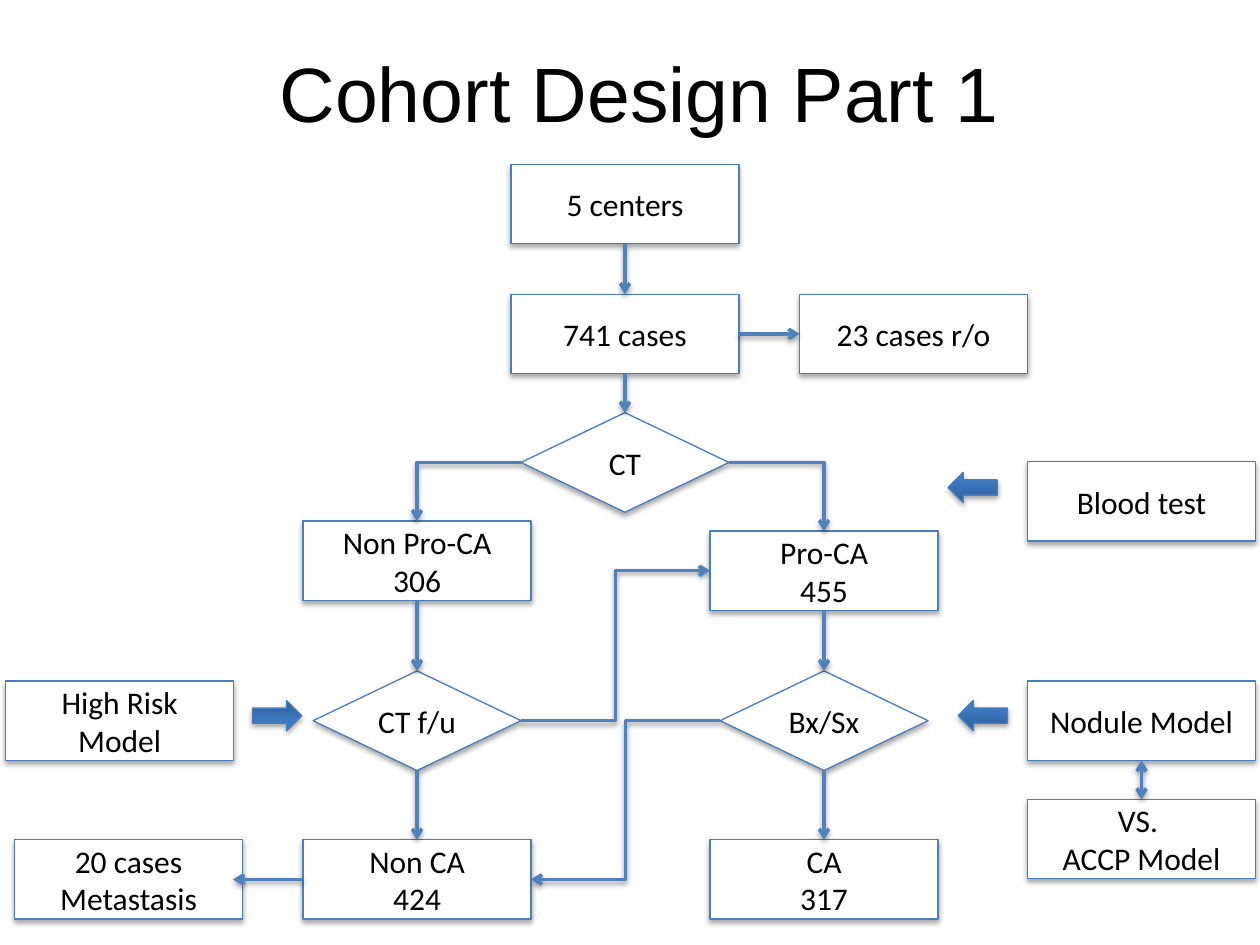
from copy import deepcopy
from dataclasses import dataclass

from lxml.etree import SubElement
from pptx import Presentation
from pptx.dml.color import RGBColor
from pptx.enum.shapes import MSO_CONNECTOR, MSO_SHAPE
from pptx.enum.text import MSO_ANCHOR, PP_ALIGN
from pptx.oxml.ns import qn
from pptx.util import Inches, Pt

TOP, LEFT, BOTTOM, RIGHT = range(4)


@dataclass(frozen=True)
class Theme:
    ink: str = "000000"
    paper: str = "FFFFFF"
    edge: str = "4B7EBC"
    link: str = "4F81BD"
    blend: tuple = ((0, "2F5F99"), (0.8, "3D7CC7"), (1, "3A7CCB"))
    head_font: str = "Arial"
    body_font: str = "Calibri"
    head_size: float = 44
    body_size: float = 18
    edge_width: float = 0.75
    link_width: float = 2


class Chart:
    """Draws the parts of a flow chart on one slide; shapes are placed by centre."""

    def __init__(self, slide, theme):
        self.slide = slide
        self.theme = theme

    def add_text(self, para, text, font, size):
        para.alignment = PP_ALIGN.CENTER
        run = para.add_run()
        run.text = text
        run.font.name = font
        run.font.size = Pt(size)
        run.font.color.rgb = RGBColor.from_string(self.theme.ink)

    def shade(self, effects, alpha, drop):
        """Add a soft shadow that falls straight down by drop points."""
        cast = SubElement(effects, qn("a:outerShdw"), blurRad=str(Pt(3.1)),
                          dist=str(Pt(drop)), dir="5400000", rotWithShape="0")
        color = SubElement(cast, qn("a:srgbClr"), val=self.theme.ink)
        SubElement(color, qn("a:alpha"), val=str(alpha * 1000))

    def title(self, text):
        holder = self.slide.shapes.title
        holder.left, holder.top = Inches(0.66), Inches(0.3)
        holder.width, holder.height = Inches(8.83), Inches(0.85)
        frame = holder.text_frame
        frame.vertical_anchor = MSO_ANCHOR.MIDDLE
        self.add_text(frame.paragraphs[0], text, self.theme.head_font, self.theme.head_size)

    def shape(self, kind, x, y, width, height):
        item = self.slide.shapes.add_shape(
            kind, Inches(x - width / 2), Inches(y - height / 2),
            Inches(width), Inches(height))
        item.fill.solid()
        item.fill.fore_color.rgb = RGBColor.from_string(self.theme.paper)
        item.line.color.rgb = RGBColor.from_string(self.theme.edge)
        item.line.width = Pt(self.theme.edge_width)
        item.shadow.inherit = False
        self.shade(item._element.spPr.find(qn("a:effectLst")), 35, 1.8)
        return item

    def label(self, item, lines):
        frame = item.text_frame
        frame.word_wrap = True
        frame.vertical_anchor = MSO_ANCHOR.MIDDLE
        for i, text in enumerate(lines):
            para = frame.add_paragraph() if i else frame.paragraphs[0]
            self.add_text(para, text, self.theme.body_font, self.theme.body_size)
        return item

    def box(self, x, y, *lines):
        return self.label(self.shape(MSO_SHAPE.RECTANGLE, x, y, 1.81, 0.63), lines)

    def choice(self, x, y, text):
        kind = MSO_SHAPE.FLOWCHART_DECISION
        return self.label(self.shape(kind, x, y, 1.65, 0.79), [text])

    def arrow(self, x, y, turn=0):
        item = self.shape(MSO_SHAPE.LEFT_ARROW, x, y, 0.39, 0.24)
        item.rotation = turn
        fill = item.fill
        fill.gradient()
        fill.gradient_angle = 90
        stops = item._element.spPr.find(qn("a:gradFill")).find(qn("a:gsLst"))
        stops.insert(1, deepcopy(stops[0]))
        for stop, (place, color) in zip(fill.gradient_stops, self.theme.blend):
            stop.position = place
            stop.color.rgb = RGBColor.from_string(color)

    def link(self, start, begin, goal=None, end=None, *, to=(0, 0), bends=0, both=False):
        """Join two sides, or run from one side to a free point."""
        kind = MSO_CONNECTOR.ELBOW if bends else MSO_CONNECTOR.STRAIGHT
        line = self.slide.shapes.add_connector(kind, 0, 0, Inches(to[0]), Inches(to[1]))
        line.begin_connect(start, begin)
        if goal is not None:
            line.end_connect(goal, end)
        line.line.color.rgb = RGBColor.from_string(self.theme.link)
        line.line.width = Pt(self.theme.link_width)
        props = line._element.spPr
        if bends:
            props.find(qn("a:prstGeom")).set("prst", f"bentConnector{bends + 1}")
        stroke = props.find(qn("a:ln"))
        if both:
            SubElement(stroke, qn("a:headEnd"), type="arrow")
        SubElement(stroke, qn("a:tailEnd"), type="arrow")
        self.shade(SubElement(props, qn("a:effectLst")), 38, 1.6)


def main():
    deck = Presentation()
    deck.slide_width, deck.slide_height = Inches(10), Inches(7.5)
    chart = Chart(deck.slides.add_slide(deck.slide_layouts[5]), Theme())
    chart.title("Cohort Design Part 1")

    # Column centres and the rows shared by several shapes
    low, mid, high, side = 3.31, 4.96, 6.54, 9.06
    case_row, test_row, last_row = 2.65, 5.72, 6.98

    centers = chart.box(mid, 1.62, "5 centers")
    cases = chart.box(mid, case_row, "741 cases")
    ruled = chart.box(7.25, case_row, "23 cases r/o")
    scan = chart.choice(mid, 3.67, "CT")
    non_pro = chart.box(low, 4.45, "Non Pro-CA", "306")
    pro = chart.box(high, 4.53, "Pro-CA", "455")
    follow = chart.choice(low, test_row, "CT f/u")
    biopsy = chart.choice(high, test_row, "Bx/Sx")
    benign = chart.box(low, last_row, "Non CA", "424")
    cancer = chart.box(high, last_row, "CA", "317")
    chart.box(1.02, last_row, "20 cases Metastasis")
    chart.box(0.95, test_row, "High Risk Model")
    chart.box(side, 3.98, "Blood test")
    nodule = chart.box(side, test_row, "Nodule Model")
    rival = chart.box(side, 6.66, "VS. ", "ACCP Model")

    chart.arrow(7.72, 3.87)
    chart.arrow(7.8, 5.68)
    chart.arrow(2.2, 5.68, turn=180)

    for upper, lower in ((centers, cases), (cases, scan), (non_pro, follow),
                         (follow, benign), (pro, biopsy), (biopsy, cancer)):
        chart.link(upper, BOTTOM, lower, TOP)
    chart.link(cases, RIGHT, ruled, LEFT)
    chart.link(nodule, BOTTOM, rival, TOP, both=True)
    chart.link(benign, LEFT, to=(1.85, last_row))
    chart.link(scan, LEFT, non_pro, TOP, bends=1)
    chart.link(scan, RIGHT, pro, TOP, bends=1)
    chart.link(follow, RIGHT, pro, LEFT, bends=2)
    chart.link(biopsy, LEFT, benign, RIGHT, bends=2)

    deck.save("out.pptx")


if __name__ == "__main__":
    main()
